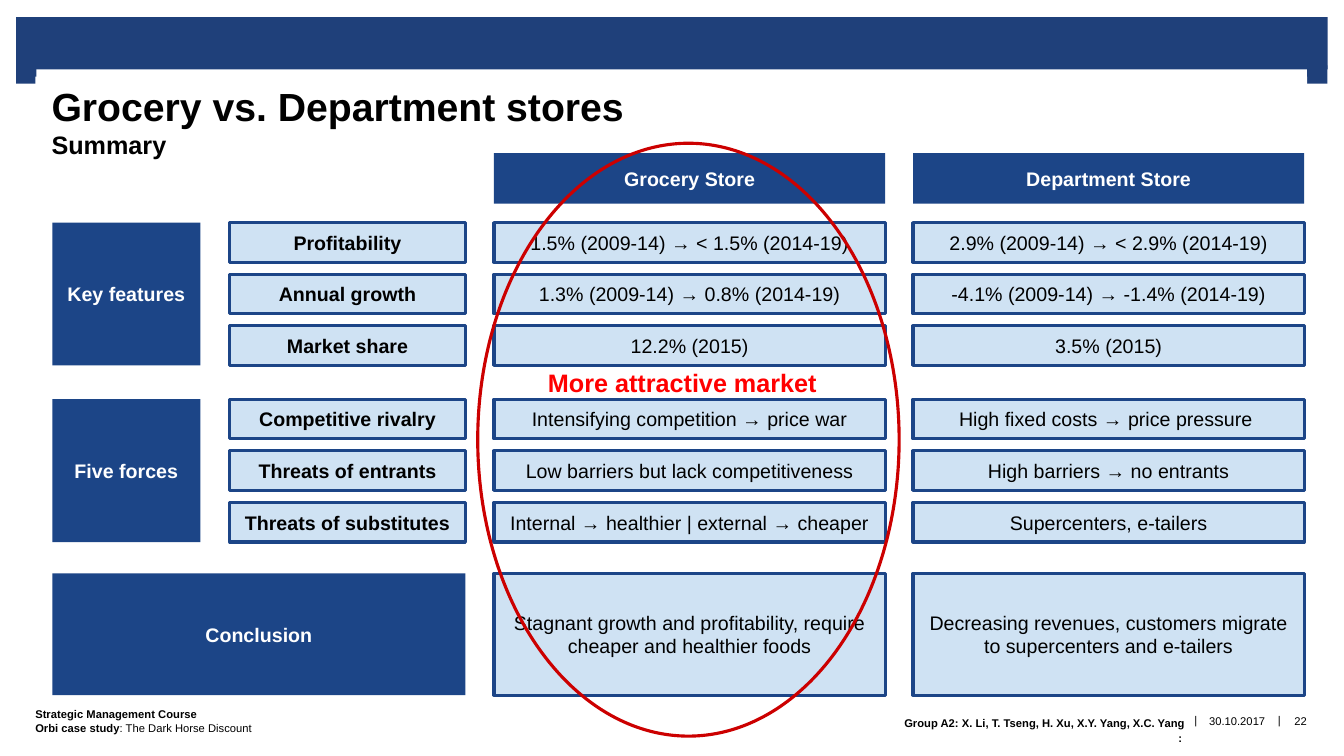
"""Build the summary slide comparing grocery and department stores."""
from pptx import Presentation
from pptx.dml.color import RGBColor
from pptx.enum import shapes, text
from pptx.util import Cm, Pt

BAND = RGBColor(0x1F, 0x40, 0x7A)
NAVY = RGBColor(0x1C, 0x45, 0x87)
PALE = RGBColor(0xCF, 0xE2, 0xF3)
WHITE = RGBColor(0xFF, 0xFF, 0xFF)
BLACK = RGBColor(0, 0, 0)
RED = RGBColor(0xFF, 0, 0)
RING = RGBColor(0xCC, 0, 0)

LEFT, CENTER, RIGHT = text.PP_ALIGN.LEFT, text.PP_ALIGN.CENTER, text.PP_ALIGN.RIGHT
TOP, MIDDLE = text.MSO_ANCHOR.TOP, text.MSO_ANCHOR.MIDDLE

GROUP_LEFT, GROUP_WIDTH = 1.32, 3.73
LABEL_LEFT, LABEL_WIDTH = 5.79, 5.94
STORE_WIDTH = 9.86
ROW_HEIGHT, ROW_STEP = 1, 1.3
HEADER_TOP, HEADER_HEIGHT = 3.86, 1.27
CONCLUSION_TOP, CONCLUSION_HEIGHT = 14.45, 3.07

STORES = [
    (12.45, "Grocery Store",
     "Stagnant growth and profitability, require cheaper and healthier foods"),
    (23.01, "Department Store",
     "Decreasing revenues, customers migrate to supercenters and e-tailers"),
]
GROUPS = [
    ("Key features", 5.61, [
        ("Profitability", "1.5% (2009-14) → < 1.5% (2014-19)",
         "2.9% (2009-14) → < 2.9% (2014-19)"),
        ("Annual growth", "1.3% (2009-14) → 0.8% (2014-19)",
         "-4.1% (2009-14) → -1.4% (2014-19)"),
        ("Market share", "12.2% (2015)", "3.5% (2015)"),
    ]),
    ("Five forces", 10.06, [
        ("Competitive rivalry", "Intensifying competition → price war",
         "High fixed costs → price pressure "),
        ("Threats of entrants", "Low barriers but lack competitiveness",
         "High barriers → no entrants"),
        ("Threats of substitutes", "Internal → healthier | external → cheaper",
         "Supercenters, e-tailers"),
    ]),
]


def write(box, lines, color=BLACK, align=CENTER, anchor=MIDDLE, insets=(0.25, 0.25),
          spacing=1.0):
    """Fill a box with lines, each a list of (text, size, bold) spans."""
    frame = box.text_frame
    frame.word_wrap = True
    frame.vertical_anchor = anchor
    frame.margin_left = frame.margin_right = Cm(insets[0])
    frame.margin_top = frame.margin_bottom = Cm(insets[1])
    frame.text = "\n".join("" for _ in lines)
    for paragraph, spans in zip(frame.paragraphs, lines):
        paragraph.alignment = align
        paragraph.line_spacing = spacing
        for content, size, bold in spans:
            span = paragraph.add_run()
            span.text = content
            span.font.name = "Arial"
            span.font.size = Pt(size)
            span.font.bold = bold
            span.font.color.rgb = color


def add_shape(page, place, fill=None, line=None, kind=shapes.MSO_SHAPE.RECTANGLE):
    """Add a shape with an optional fill and outline."""
    shape = page.shapes.add_shape(kind, *map(Cm, place))
    shape.shadow.inherit = False
    if fill is None:
        shape.fill.background()
    else:
        shape.fill.solid()
        shape.fill.fore_color.rgb = fill
    if line is None:
        shape.line.fill.background()
    else:
        shape.line.color.rgb = line
        shape.line.width = Pt(2.25)
    return shape


def add_heading(page, place, content):
    """Add a navy box with bold white text."""
    write(add_shape(page, place, NAVY), [[(content, 14, True)]], WHITE)


def add_cell(page, place, content, bold=False):
    """Add a pale outlined box with black text."""
    write(add_shape(page, place, PALE, NAVY), [[(content, 14, bold)]])


def add_text(page, place, lines, **style):
    """Add a text box."""
    write(page.shapes.add_textbox(*map(Cm, place)), lines, **style)


def add_frame(page):
    """Add the top band, the title and the footer."""
    add_shape(page, (0.41, 0.43, 33.05, 1.32), BAND)
    for left in (0.41, 32.94):
        add_shape(page, (left, 1.65, 0.51, 0.46), BAND)
    title = add_shape(page, (0.89, 1.93, 32.05, 2.69), WHITE)
    write(title, [[("Grocery vs. Department stores", 28, True)], [("Summary", 18, True)]],
          align=LEFT, anchor=TOP, insets=(0.41, 0.15))
    for left in (29.95, 32.05):
        add_text(page, (left, 17.5, 0.38, 1.3), [[("|", 8, False)]], insets=(0.1, 0.13))
    add_text(page, (0.89, 17.53, 16.03, 1.27),
             [[("Strategic Management Course", 8, True)],
              [("Orbi case study", 8, True), (": The Dark Horse Discount", 8, False)]],
             align=LEFT, insets=(0, 0.13))
    add_text(page, (13.84, 17.75, 16.03, 1.27),
             [[("Group A2: X. Li, T. Tseng, H. Xu, X.Y. Yang, X.C. Yang", 8, True)],
              [(": ", 8, True)]],
             align=RIGHT, insets=(0, 0.13), spacing=1.15)
    for left, width, content in ((30.33, 1.7, "30.10.2017"), (32.28, 1, "22")):
        add_text(page, (left, 17.53, width, 1.3), [[(content, 8, False)]], insets=(0, 0))


def add_comparison(page):
    """Add the grid of store features, forces and conclusions."""
    for left, store, conclusion in STORES:
        add_heading(page, (left, HEADER_TOP, STORE_WIDTH, HEADER_HEIGHT), store)
        add_cell(page, (left, CONCLUSION_TOP, STORE_WIDTH, CONCLUSION_HEIGHT), conclusion)
    for group, top, rows in GROUPS:
        height = ROW_STEP * (len(rows) - 1) + ROW_HEIGHT
        add_heading(page, (GROUP_LEFT, top, GROUP_WIDTH, height), group)
        for index, (label, *findings) in enumerate(rows):
            row_top = top + index * ROW_STEP
            add_cell(page, (LABEL_LEFT, row_top, LABEL_WIDTH, ROW_HEIGHT), label, True)
            for (left, *_), finding in zip(STORES, findings):
                add_cell(page, (left, row_top, STORE_WIDTH, ROW_HEIGHT), finding)
    width = LABEL_LEFT + LABEL_WIDTH - GROUP_LEFT
    add_heading(page, (GROUP_LEFT, CONCLUSION_TOP, width, CONCLUSION_HEIGHT), "Conclusion")


def add_verdict(page):
    """Ring the grocery column and name it the better market."""
    add_text(page, (13.56, 9.07, 7.57, 1.12), [[("More attractive market", 18, True)]],
             color=RED, align=LEFT)
    add_shape(page, (12.04, 3.61, 10.62, 14.94), line=RING, kind=shapes.MSO_SHAPE.OVAL)


def main():
    """Build and save the deck."""
    deck = Presentation()
    deck.slide_width, deck.slide_height = Cm(33.87), Cm(19.05)
    page = deck.slides.add_slide(deck.slide_layouts[6])
    add_frame(page)
    add_comparison(page)
    add_verdict(page)
    deck.save("out.pptx")


if __name__ == "__main__":
    main()
